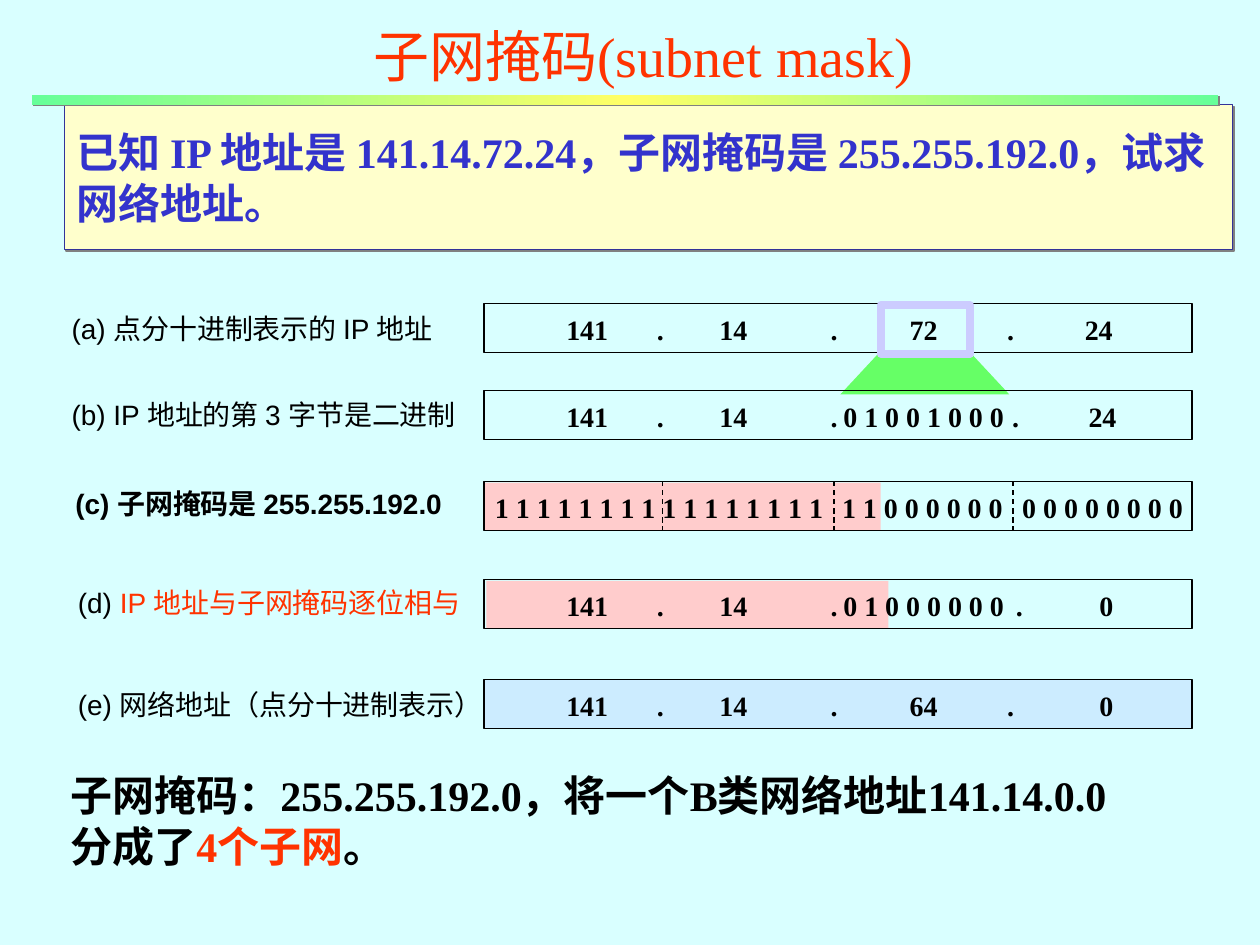
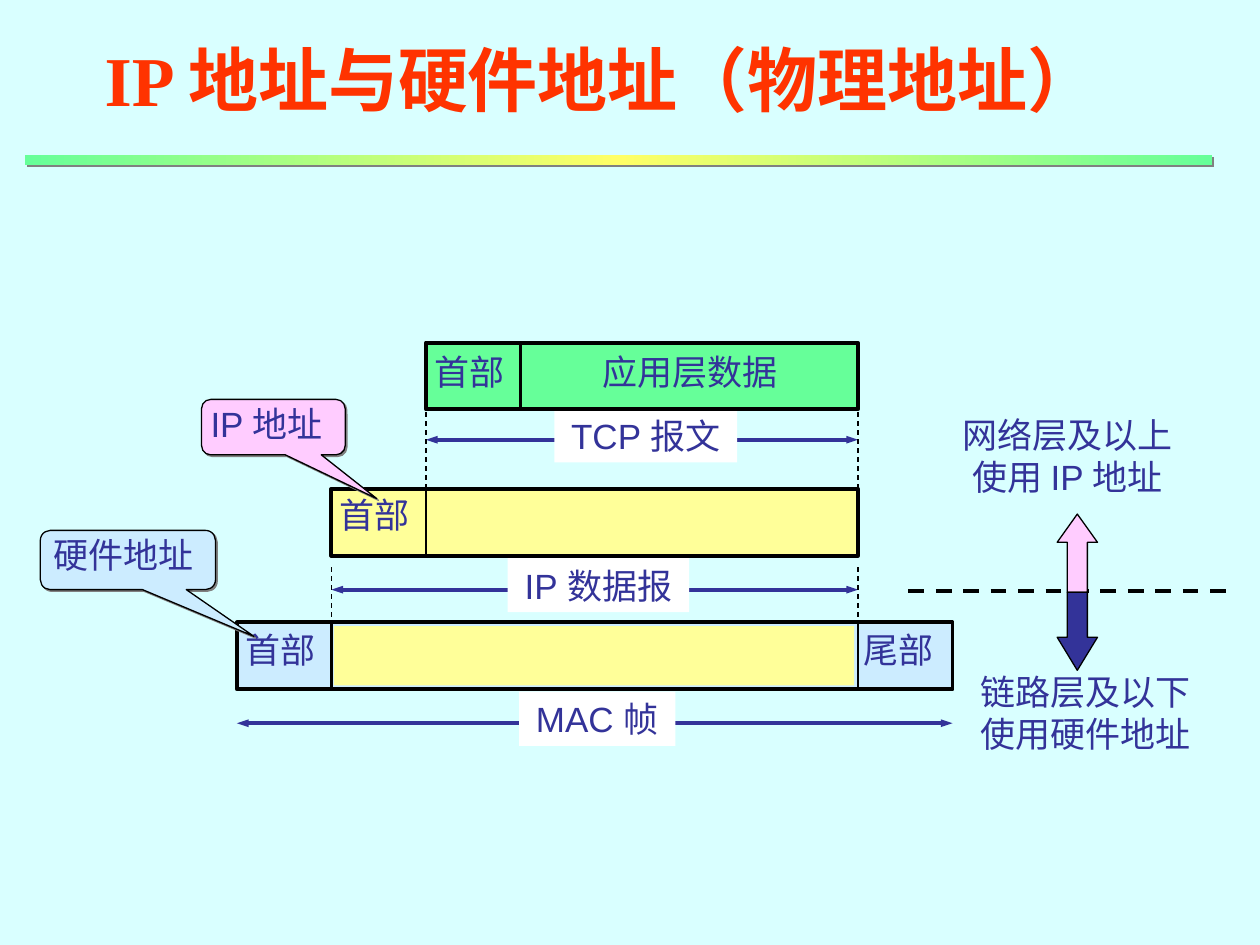
import copy

import pptx
import pptx.dml.color
import pptx.enum.dml
import pptx.enum.shapes
import pptx.enum.text
import pptx.oxml
import pptx.oxml.ns
import pptx.util
from pptx.util import Inches

SHAPE = pptx.enum.shapes.MSO_SHAPE
ALIGN = pptx.enum.text.PP_ALIGN
ANCHOR = pptx.enum.text.MSO_ANCHOR
qn = pptx.oxml.ns.qn

SERIF, SANS = "Times New Roman", "Arial"
PAPER, BLACK, WHITE, RED = "D9FFFF", "000000", "FFFFFF", "FF3300"
NAVY, BLUE, SKY, LILAC = "333399", "3333CC", "CCECFF", "CCCCFF"
GREEN, LIME, YELLOW, CREAM = "66FF99", "66FF66", "FFFF99", "FFFFCC"
GOLD, ROSE, PINK, GREY = "FFFF66", "FFCCCC", "FFCCFF", "808080"

ROW_X, ROW_W, ROW_H = 3.84, 5.62, 0.39
MASK_TABS = (1.39, 3.48, 4.91)
FRAME_H = 0.53
CELL_W = 0.75


def rgb(code):
    return pptx.dml.color.RGBColor.from_string(code)


def child(parent, tag, **attrs):
    node = parent.makeelement(qn(tag), attrs)
    parent.append(node)
    return node


def write(frame, lines, size, color, font=SANS, bold=False, align=ALIGN.LEFT):
    """Fill a frame; a line is a string or a list of (text, color) parts."""
    for i, line in enumerate(lines):
        para = frame.paragraphs[0] if i == 0 else frame.add_paragraph()
        para.alignment = align
        parts = [(line, color)] if isinstance(line, str) else line
        para.text = parts[0][0]
        for text, _ in parts[1:]:
            para.add_run().text = text
        for run, (_, tint) in zip(para.runs, parts):
            run.font.size = pptx.util.Pt(size)
            run.font.name = font
            run.font.bold = bold
            run.font.color.rgb = rgb(tint)


def label(slide, x, y, w, h, lines):
    """Centred text in the diagram."""
    text = slide.shapes.add_textbox(Inches(x), Inches(y), Inches(w), Inches(h))
    frame = text.text_frame
    frame.word_wrap = True
    frame.margin_left = frame.margin_right = 0
    write(frame, lines, 20, NAVY, align=ALIGN.CENTER)


def note(slide, x, y, w, h, lines, size, **style):
    """Left-aligned black text."""
    text = slide.shapes.add_textbox(Inches(x), Inches(y), Inches(w), Inches(h))
    text.text_frame.word_wrap = True
    write(text.text_frame, lines, size, BLACK, **style)


def box(slide, x, y, w, h, fill=None, line=None, width=0.75, kind=SHAPE.RECTANGLE):
    shape = slide.shapes.add_shape(kind, Inches(x), Inches(y), Inches(w), Inches(h))
    shape.shadow.inherit = False
    if fill:
        shape.fill.solid()
        shape.fill.fore_color.rgb = rgb(fill)
    else:
        shape.fill.background()
    if line:
        shape.line.color.rgb = rgb(line)
        shape.line.width = pptx.util.Pt(width)
    else:
        shape.line.fill.background()
    return shape


def shade(shape):
    """Give a shape the small hard grey shadow."""
    effects = shape.element.spPr.find(qn("a:effectLst"))
    drop = child(effects, "a:outerShdw", blurRad="0", dist="17780",
                 dir="2700000", algn="tl", rotWithShape="0")
    child(drop, "a:srgbClr", val=GREY)


def rule(slide, x1, y1, x2, y2, color=BLACK, width=0.75, dash=False, heads=False):
    line = slide.shapes.add_connector(
        pptx.enum.shapes.MSO_CONNECTOR.STRAIGHT,
        Inches(x1), Inches(y1), Inches(x2), Inches(y2))
    line.line.color.rgb = rgb(color)
    line.line.width = pptx.util.Pt(width)
    if dash:
        line.line.dash_style = pptx.enum.dml.MSO_LINE.DASH
    if heads:
        stroke = line.element.spPr.find(qn("a:ln"))
        for tag in ("a:headEnd", "a:tailEnd"):
            child(stroke, tag, type="triangle", w="sm", len="med")
    child(line.element.spPr, "a:effectLst")


def head(slide, text, x, y, w, h, size, bold):
    title = slide.shapes.title
    title.left, title.top = Inches(x), Inches(y)
    title.width, title.height = Inches(w), Inches(h)
    frame = title.text_frame
    frame.auto_size = pptx.enum.text.MSO_AUTO_SIZE.NONE
    frame.vertical_anchor = ANCHOR.MIDDLE
    write(frame, [text], size, RED, SERIF, bold, ALIGN.CENTER)


def band(slide, x, y):
    """Green and gold bar under the title."""
    bar = box(slide, x, y, 9.42, 0.08)
    bar.fill.gradient()
    bar.fill.gradient_angle = 0
    first, mid = bar.fill.gradient_stops
    first.color.rgb = rgb(GREEN)
    mid.color.rgb = rgb(GOLD)
    mid.position = 0.5
    stops = bar.element.spPr.find(".//" + qn("a:gsLst"))
    last = copy.deepcopy(stops[0])
    last.set("pos", "100000")
    stops.append(last)
    shade(bar)


def row(slide, y, name, x, name_y, cells, tabs, fill=None, bold=False):
    """A caption and an address bar whose parts sit on centred tab stops."""
    note(slide, x, name_y, 3.6, 0.36, [name], 16, bold=bold)
    bar = box(slide, ROW_X, y, ROW_W, ROW_H, fill, BLACK)
    frame = bar.text_frame
    frame.margin_left = frame.margin_right = frame.margin_bottom = 0
    frame.margin_top = Inches(0.02)
    frame.vertical_anchor = ANCHOR.MIDDLE
    props = bar.element.find(".//" + qn("a:p")).get_or_add_pPr()
    stops = child(props, "a:tabLst")
    for tab in tabs:
        child(stops, "a:tab", pos=str(Inches(tab)), algn="ctr")
    write(frame, ["".join("\t" + cell for cell in cells)], 16, BLACK, SERIF, True)


def dotted(*parts):
    """Put a dot cell between the address bytes."""
    return [cell for part in parts for cell in (part, ".")][:-1]


def stops(dot=4.18, last=4.94):
    """Tab stops of an address row; the third dot and last byte may shift."""
    return (0.82, 1.4, 1.98, 2.78, 3.49, dot, last)


def bits(ones, size=8):
    return " ".join("1" * ones + "0" * (size - ones))


def mask(prs):
    slide = prs.slides.add_slide(prs.slide_layouts[5])
    head(slide, "子网掩码(subnet mask)", 0.98, 0, 8.25, 0.87, 32, False)
    task = box(slide, 0.51, 0.83, 9.27, 1.15, CREAM, NAVY)
    shade(task)
    task.text_frame.vertical_anchor = ANCHOR.MIDDLE
    write(task.text_frame,
          ["已知 IP 地址是 141.14.72.24，子网掩码是 255.255.192.0，试求网络地址。"],
          24, BLUE, SERIF, True)
    band(slide, 0.25, 0.75)

    zoom = box(slide, 6.67, 2.79, 1.34, 0.34, LIME, kind=SHAPE.TRAPEZOID)
    zoom.adjustments[0] = 0.93
    box(slide, 3.85, 3.83, 3.14, 0.38, ROSE)
    box(slide, 3.86, 4.61, 3.19, 0.38, ROSE)

    row(slide, 2.41, "(a) 点分十进制表示的 IP 地址", 0.47, 2.42,
        dotted("141", "14", "72", "24"), stops(last=4.88))
    row(slide, 3.1, "(b) IP 地址的第 3 字节是二进制", 0.47, 3.11,
        dotted("141", "14", "0 1 0 0 1 0 0 0", "24"), stops(4.22, 4.91))
    row(slide, 3.82, "(c) 子网掩码是 255.255.192.0", 0.5, 3.81,
        [bits(16, 16), bits(2), bits(0)], MASK_TABS, bold=True)
    row(slide, 4.6, [("(d) ", BLACK), ("IP 地址与子网掩码逐位相与", RED)], 0.52, 4.6,
        dotted("141", "14", "0 1 0 0 0 0 0 0", "0"), stops(4.25))
    row(slide, 5.39, "(e) 网络地址（点分十进制表示）", 0.52, 5.41,
        dotted("141", "14", "64", "0"), stops(), SKY)
    for x in (5.26, 6.62, 8.04):
        rule(slide, x, 3.82, x, 4.21, dash=True)
    box(slide, 6.99, 2.42, 0.71, 0.39, None, LILAC, 4.5)

    note(slide, 0.46, 6.06, 9.2, 0.9,
         ["子网掩码：255.255.192.0，将一个B类网络地址141.14.0.0",
          [("分成了", BLACK), ("4个子网", RED), ("。", BLACK)]],
         24, font=SERIF, bold=True)


def frame(slide, x, y, w, fill, cuts):
    """A data unit with lines between its fields."""
    box(slide, x, y, w, FRAME_H, fill, BLACK, 2.25)
    for cut in cuts:
        rule(slide, cut, y, cut, y + FRAME_H, width=1.5)


def span(slide, x1, x2, y, name, x, w):
    """A two-way arrow with a name on white."""
    rule(slide, x1, y, x2, y, NAVY, 2.25, heads=True)
    plate = box(slide, x, y - 0.25, w, 0.43, WHITE)
    plate.text_frame.word_wrap = False
    write(plate.text_frame, [name], 20, NAVY, align=ALIGN.CENTER)


def bubble(slide, x, y, w, h, fill, name, inset):
    shape = box(slide, x, y, w, h, fill, BLACK, kind=SHAPE.ROUNDED_RECTANGULAR_CALLOUT)
    shape.adjustments[0], shape.adjustments[1] = 0.72, 1.29
    shade(shape)
    text = shape.text_frame
    text.vertical_anchor = ANCHOR.TOP
    text.margin_left, text.margin_right = Inches(inset), 0
    text.margin_top = text.margin_bottom = 0
    write(text, [name], 20, NAVY)


def layers(prs):
    slide = prs.slides.add_slide(prs.slide_layouts[5])
    head(slide, "IP 地址与硬件地址（物理地址）", 0.52, 0, 8.5, 1.25, 40, True)
    band(slide, 0.2, 1.23)

    tcp, ip, mac, end = 3.38, 2.63, 1.88, 6.81
    span(slide, tcp, end, 3.49, "TCP 报文", 4.4, 1.45)
    span(slide, ip, end, 4.68, "IP 数据报", 4.03, 1.44)
    span(slide, mac, end + CELL_W, 5.74, "MAC 帧", 4.12, 1.24)
    for x, top, base in ((tcp, 3.27, 3.88), (end, 3.27, 3.88),
                         (ip, 4.5, 4.94), (end, 4.5, 4.94)):
        rule(slide, x, top, x, base, dash=True)

    frame(slide, tcp, 2.72, end - tcp, GREEN, [tcp + CELL_W])
    frame(slide, ip, 3.88, end - ip, YELLOW, [tcp])
    frame(slide, mac, 4.94, end + CELL_W - mac, SKY, [ip, end])
    box(slide, 2.65, 4.97, 4.13, 0.47, YELLOW)
    for x, y in ((tcp, 2.73), (ip, 3.87), (mac, 4.94)):
        label(slide, x - 0.03, y, CELL_W, 0.44, ["首部"])
    label(slide, 6.76, 4.94, CELL_W, 0.44, ["尾部"])
    label(slide, 4.68, 2.73, 1.59, 0.44, ["应用层数据"])

    bubble(slide, 1.6, 3.17, 1.14, 0.44, PINK, "IP 地址", 0.05)
    bubble(slide, 0.32, 4.21, 1.39, 0.47, SKY, "硬件地址", 0.08)

    rule(slide, 7.21, 4.69, 9.73, 4.69, width=2.25, dash=True)
    for kind, y, fill, tip in ((SHAPE.UP_ARROW, 4.08, PINK, 0.7),
                               (SHAPE.DOWN_ARROW, 4.7, NAVY, 0.82)):
        arrow = box(slide, 8.39, y, 0.32, 0.62, fill, BLACK, kind=kind)
        arrow.adjustments[1] = tip
    label(slide, 7.52, 3.23, 1.91, 0.77, ["网络层及以上", "使用 IP 地址"])
    label(slide, 7.68, 5.27, 1.87, 0.77, ["链路层及以下", "使用硬件地址"])


def main():
    prs = pptx.Presentation()
    prs.slide_width, prs.slide_height = Inches(10), Inches(7.5)
    back = prs.slide_master.background.fill
    back.solid()
    back.fore_color.rgb = rgb(PAPER)
    mask(prs)
    layers(prs)
    prs.save("out.pptx")


if __name__ == "__main__":
    main()
